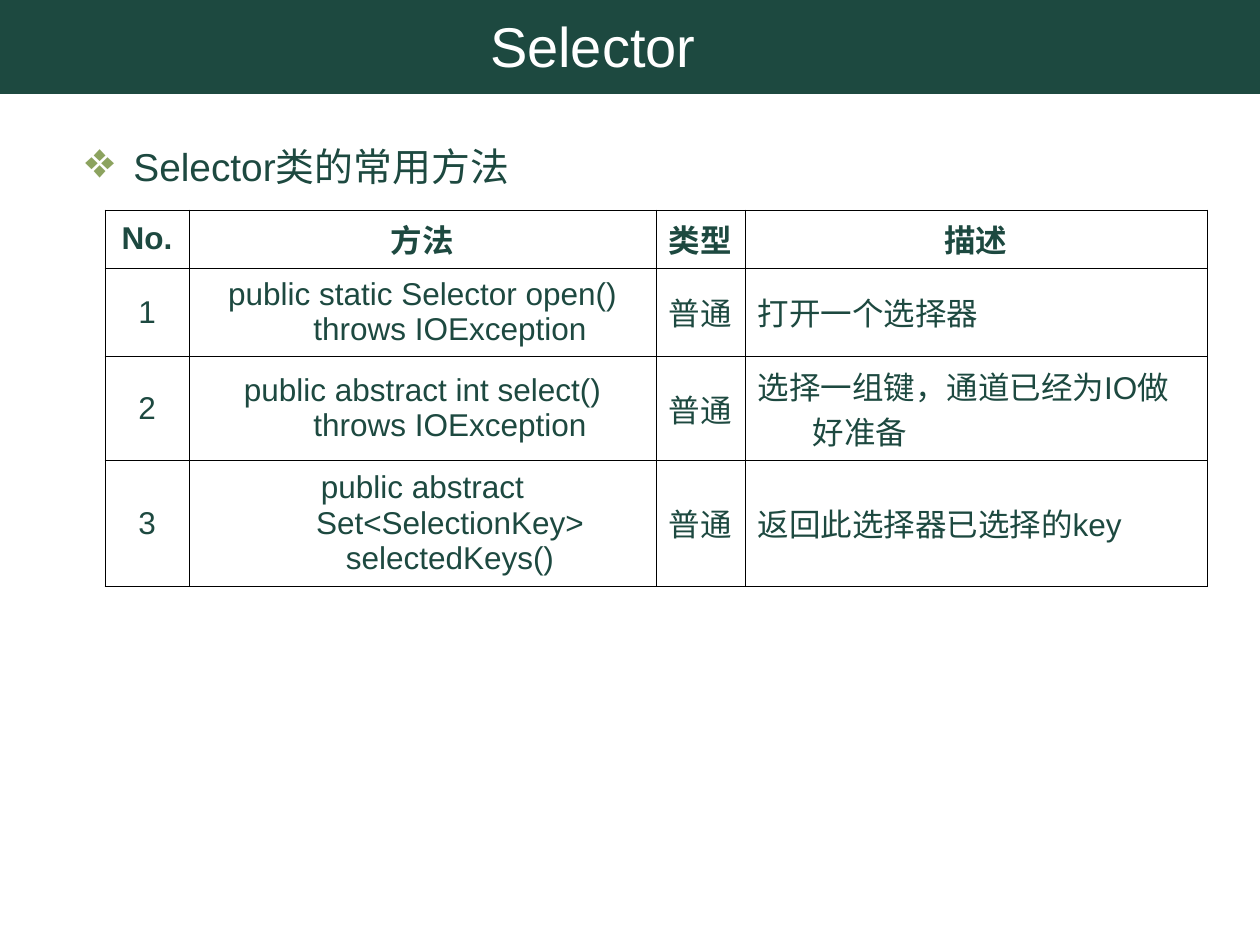
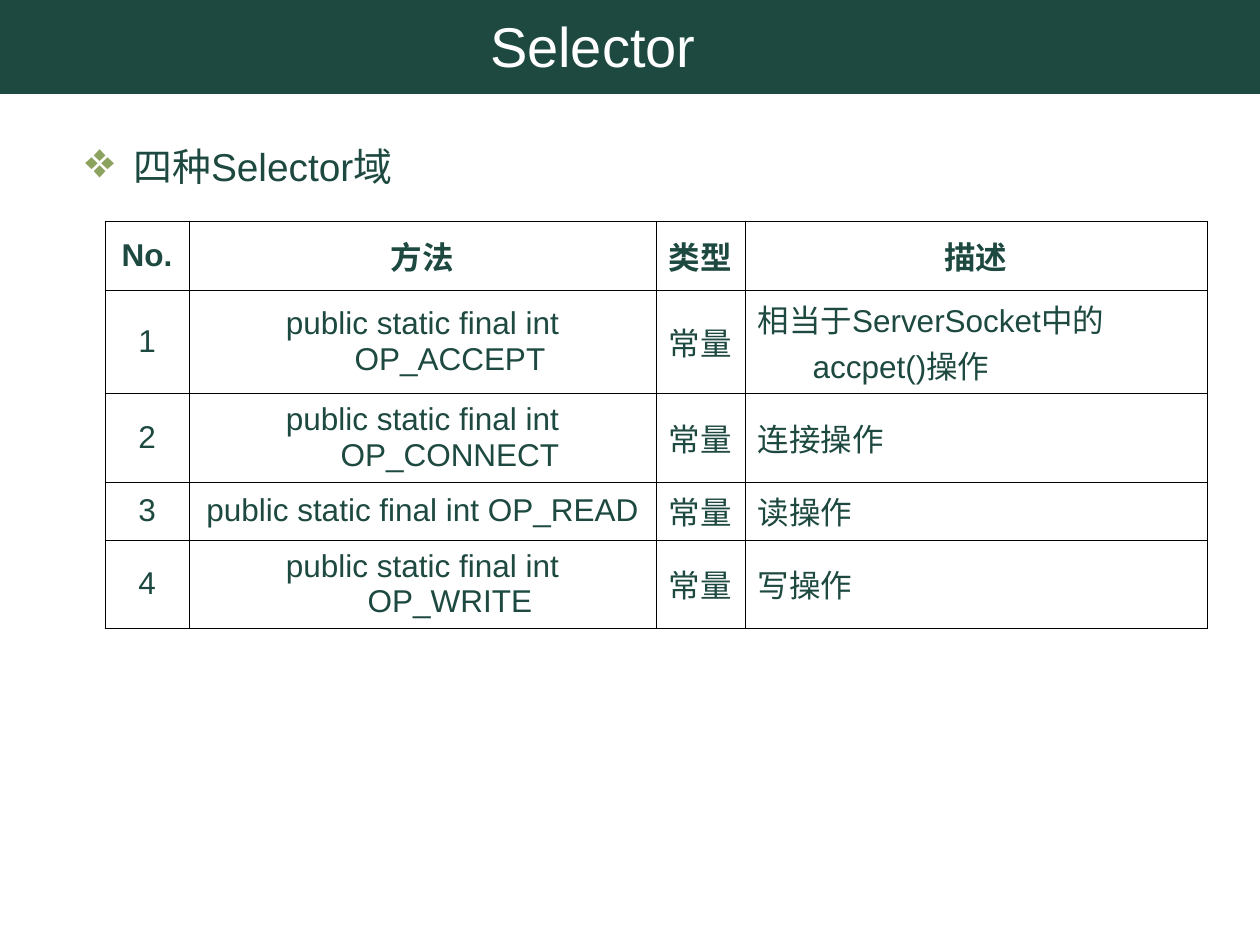
from lxml import etree
from pptx import Presentation
from pptx import util as u
from pptx.dml.color import RGBColor
from pptx.enum import shapes, text
from pptx.oxml import ns

PIXEL = u.Inches(1) // 126
GREEN, LEAF, WHITE, BLACK = "1D4940", "8CA35F", "FFFFFF", "000000"
COLUMNS = [84, 467, 89, 462]
HEADER = ["No.", "方法", "类型", "描述"]

# heading, heading width, table top, row heights, method type, (method, description)
PAGES = [
    ("Selector类的常用方法", 557, 210, [58, 88, 104, 126], "普通", [
        ("public static Selector open() throws IOException", "打开一个选择器"),
        ("public abstract int select() throws IOException",
         "选择一组键，通道已经为IO做好准备"),
        ("public abstract Set<SelectionKey> selectedKeys()",
         "返回此选择器已选择的key"),
    ]),
    ("四种Selector域", 756, 221, [69, 103, 89, 58, 88], "常量", [
        ("public static final int OP_ACCEPT",
         "相当于ServerSocket中的accpet()操作"),
        ("public static final int OP_CONNECT", "连接操作"),
        ("public static final int OP_READ", "读操作"),
        ("public static final int OP_WRITE", "写操作"),
    ]),
]


def style(para, size, color, bold=False):
    """Set the font of a whole paragraph."""
    font = para.font
    font.name, font.size, font.bold = "Arial", u.Pt(size), bold
    font.color.rgb = RGBColor.from_string(color)


def add_xml(parent, tag, **attributes):
    """Append a drawing element and return it."""
    return etree.SubElement(parent, ns.qn(tag), attributes)


deck = Presentation()
deck.slide_width, deck.slide_height = 1260 * PIXEL, 945 * PIXEL

for heading, heading_width, table_top, heights, kind, methods in PAGES:
    page = deck.slides.add_slide(deck.slide_layouts[5])

    # Title band, behind the title
    band = page.shapes.add_shape(shapes.MSO_SHAPE.RECTANGLE,
                                 -PIXEL, 0, 1261 * PIXEL, 94 * PIXEL)
    band.shadow.inherit = False
    band.fill.solid()
    band.fill.fore_color.rgb = RGBColor.from_string(GREEN)
    band.line.fill.background()
    title = page.shapes.title
    title.element.addprevious(band.element)

    title.left, title.top = 84 * PIXEL, 6 * PIXEL
    title.width, title.height = 1018 * PIXEL, 78 * PIXEL
    title.text_frame.text = "Selector"
    title.text_frame.auto_size = text.MSO_AUTO_SIZE.NONE
    title.text_frame.vertical_anchor = text.MSO_ANCHOR.MIDDLE
    para = title.text_frame.paragraphs[0]
    para.alignment = text.PP_ALIGN.CENTER
    style(para, 32, WHITE)

    # Bulleted heading
    box = page.shapes.add_textbox(73 * PIXEL, 136 * PIXEL,
                                  heading_width * PIXEL, 63 * PIXEL)
    box.text_frame.word_wrap = True
    para = box.text_frame.paragraphs[0]
    para.text = heading
    para.space_before = u.Pt(6)
    props = para._p.get_or_add_pPr()
    props.set("marL", str(48 * PIXEL))
    props.set("indent", str(-48 * PIXEL))
    add_xml(add_xml(props, "a:buClr"), "a:srgbClr", val=LEAF)
    add_xml(props, "a:buSzPct", val="130000")
    add_xml(props, "a:buChar", char="❖")
    style(para, 22.2, GREEN)

    # Method table; each row is tall enough for its wrapped text
    rows = [HEADER] + [[str(number), method, kind, description]
                       for number, (method, description) in enumerate(methods, 1)]
    frame = page.shapes.add_table(len(rows), len(COLUMNS), 105 * PIXEL, table_top * PIXEL,
                                  sum(COLUMNS) * PIXEL, sum(heights) * PIXEL)
    table = frame.table
    table.first_row = table.horz_banding = False
    table_props = table._tbl.tblPr
    table_props.remove(table_props.find(ns.qn("a:tableStyleId")))
    for column, width in zip(table.columns, COLUMNS):
        column.width = width * PIXEL
    for row, height in zip(table.rows, heights):
        row.height = height * PIXEL

    for r, values in enumerate(rows):
        for c, value in enumerate(values):
            cell = table.cell(r, c)
            cell.text = value
            cell.vertical_anchor = text.MSO_ANCHOR.MIDDLE
            for side in ("a:lnL", "a:lnR", "a:lnT", "a:lnB"):
                line = add_xml(cell._tc.tcPr, side, w=str(u.Pt(0.45)))
                add_xml(add_xml(line, "a:solidFill"), "a:srgbClr", val=BLACK)
            cell.fill.background()

            para = cell.text_frame.paragraphs[0]
            is_description = r > 0 and c == 3
            para.alignment = text.PP_ALIGN.LEFT if is_description else text.PP_ALIGN.CENTER
            para.space_before = u.Pt(4.5)
            props = para._p.get_or_add_pPr()
            props.set("marL", str(55 * PIXEL))
            props.set("indent", str(-55 * PIXEL))
            style(para, 18, GREEN, bold=r == 0)

deck.save("out.pptx")
